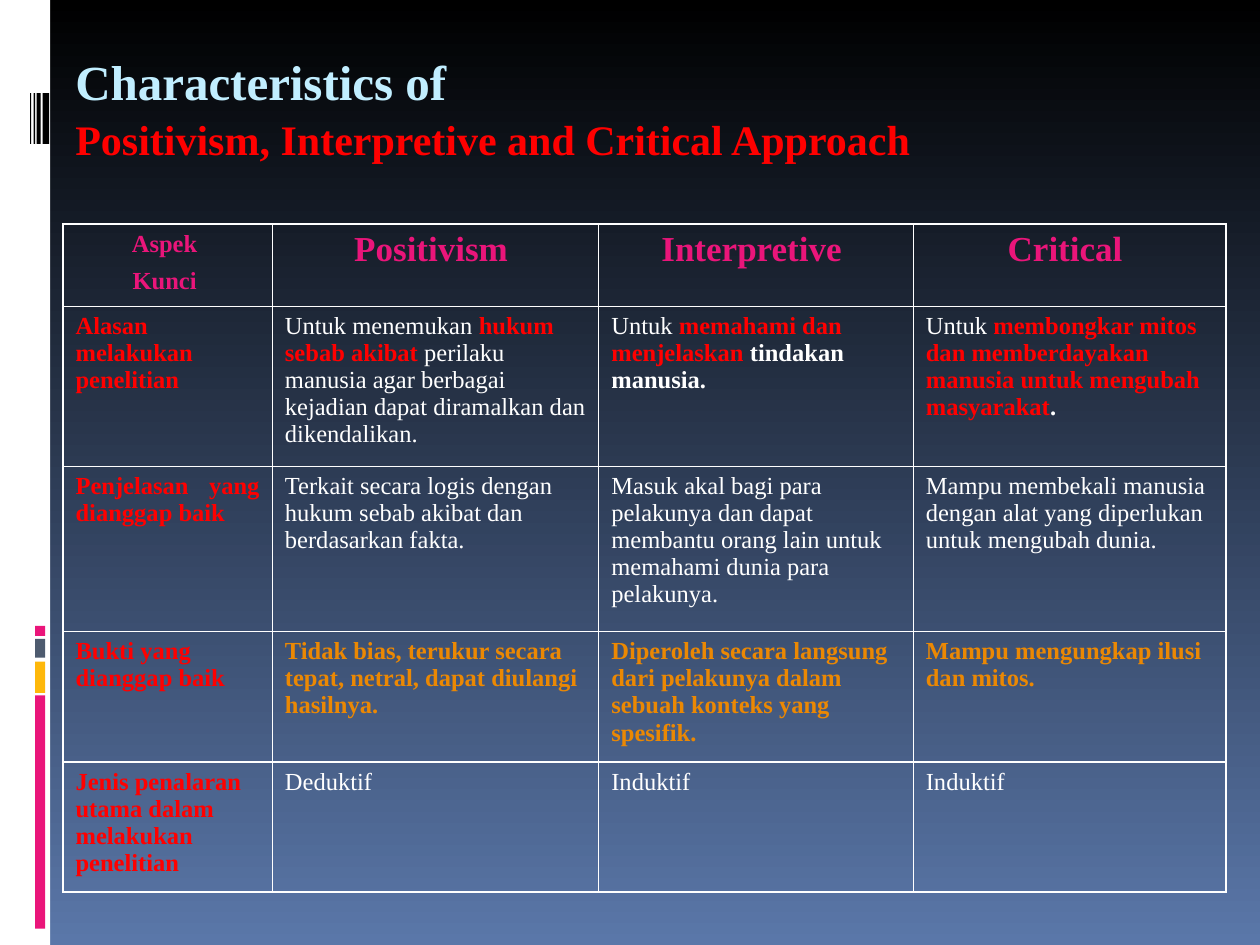
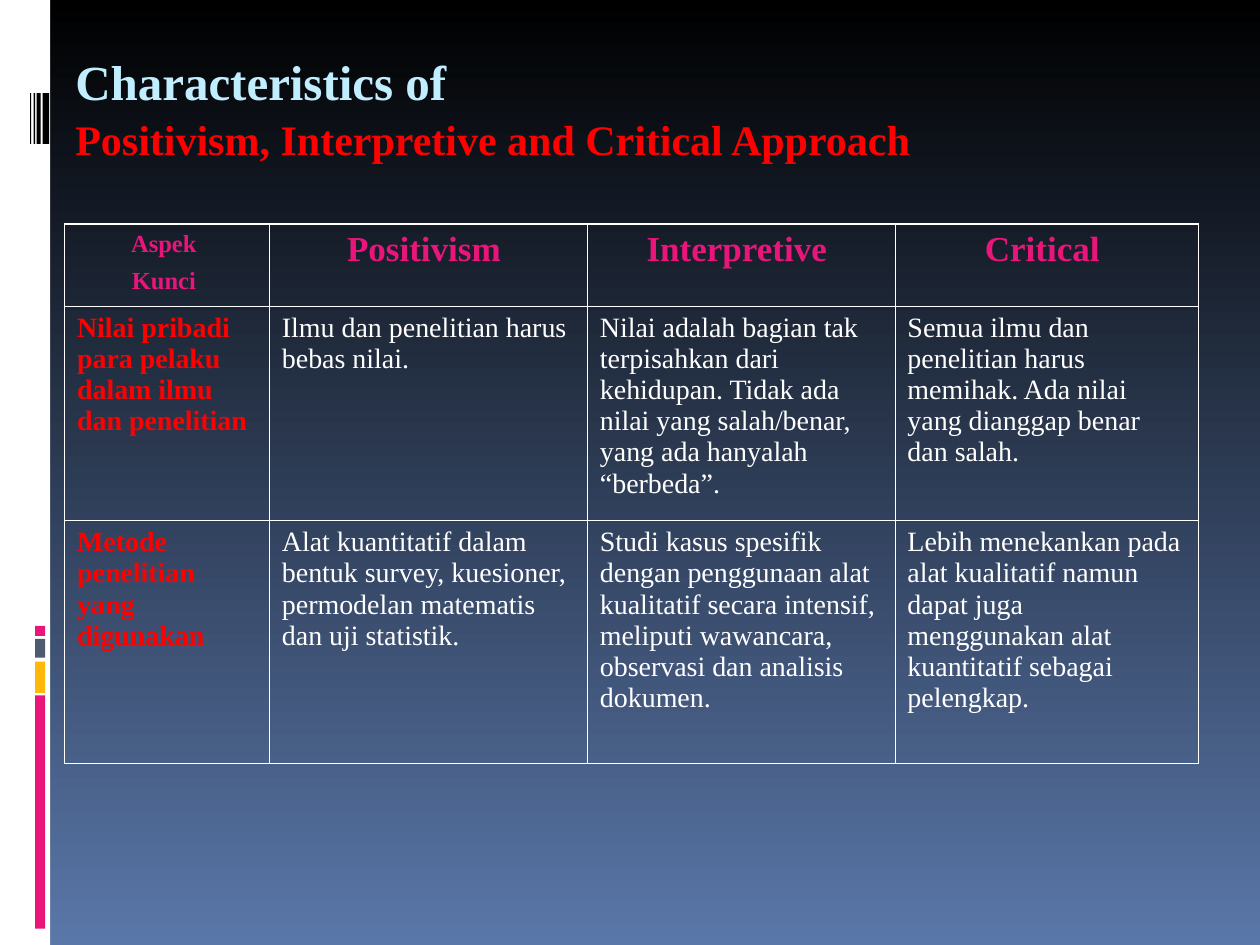
from dataclasses import dataclass

from lxml import etree
from pptx import Presentation
from pptx.dml.color import RGBColor
from pptx.enum.shapes import MSO_SHAPE
from pptx.enum.text import MSO_ANCHOR, PP_ALIGN
from pptx.oxml.ns import qn
from pptx.slide import Slide
from pptx.util import Cm, Pt

RECTANGLE = MSO_SHAPE.RECTANGLE
TOP = MSO_ANCHOR.TOP
LEFT, CENTER, JUSTIFY = PP_ALIGN.LEFT, PP_ALIGN.CENTER, PP_ALIGN.JUSTIFY

BLACK = RGBColor(0x00, 0x00, 0x00)
WHITE = RGBColor(0xFF, 0xFF, 0xFF)
STEEL_BLUE = RGBColor(0x5A, 0x77, 0xA9)
PINK = RGBColor(0xEA, 0x15, 0x7A)
AMBER = RGBColor(0xFE, 0xB8, 0x0A)
SLATE = RGBColor(0x4E, 0x5B, 0x6F)
ICE = RGBColor(0xC1, 0xEE, 0xFF)
RED = RGBColor(0xFF, 0x00, 0x00)
ORANGE = RGBColor(0xEB, 0x88, 0x03)

FONT = "Times New Roman"
THIN, THICK = Pt(0.45), Pt(1.08)


@dataclass(frozen=True)
class Bar:
    left: float
    top: float
    width: float
    height: float
    color: RGBColor


@dataclass(frozen=True)
class Span:
    text: str
    color: RGBColor = WHITE
    bold: bool = False


@dataclass(frozen=True)
class Aspect:
    name: str
    views: list[list[Span]]
    align: PP_ALIGN = LEFT


@dataclass(frozen=True)
class Comparison:
    left: float
    columns: list[float]
    rows: list[float]
    body_size: int
    thick_lines: set[int]  # horizontal rules, counted from the top edge
    aspects: list[Aspect]


def plain(text: str) -> list[Span]:
    return [Span(text)]


def key(text: str, color: RGBColor = RED) -> Span:
    return Span(text, color, True)


# Side decoration: white band, coloured bars, barcode strips
SIDE_BARS = [
    Bar(0, 0, 1.01, 19.05, WHITE),
    *(Bar(0.71, top, 0.2, height, color) for top, height, color in [
        (14.02, 4.7, PINK), (13.34, 0.63, AMBER),
        (12.88, 0.38, SLATE), (12.62, 0.2, PINK)]),
    *(Bar(left, 1.88, width, 1.02, BLACK) for left, width in [
        (0.86, 0.13), (0.74, 0.08), (0.68, 0.03), (0.61, 0.02)]),
]

TITLE = [("Characteristics of ", 28, ICE),
         ("Positivism, Interpretive and Critical Approach", 24, RED)]
ASPECT_HEADING = ["Aspek ", "Kunci "]
APPROACHES = ["Positivism ", "Interpretive ", "Critical "]

COMPARISONS = [
    Comparison(
        1.27, [4.22, 6.58, 6.34, 6.3], [1.65, 3.23, 3.33, 2.62, 2.62], 14,
        {0, 3, 4, 5},
        [
            Aspect("Alasan melakukan penelitian", [
                [Span("Untuk menemukan "), key("hukum sebab akibat"),
                 Span(" perilaku manusia agar berbagai kejadian dapat "
                      "diramalkan dan dikendalikan.")],
                [Span("Untuk "), key("memahami dan menjelaskan"),
                 key(" tindakan manusia.", WHITE)],
                [Span("Untuk "),
                 key("membongkar mitos dan memberdayakan manusia untuk "
                     "mengubah masyarakat"),
                 key(".", WHITE)],
            ]),
            Aspect("Penjelasan yang dianggap baik ", [
                plain("Terkait secara logis dengan hukum sebab akibat dan "
                      "berdasarkan fakta."),
                plain("Masuk akal bagi para pelakunya dan dapat membantu "
                      "orang lain untuk memahami dunia para pelakunya."),
                plain("Mampu membekali manusia dengan alat yang diperlukan "
                      "untuk mengubah dunia."),
            ], JUSTIFY),
            Aspect("Bukti yang dianggap baik", [
                [key("Tidak bias, terukur secara tepat, netral, dapat "
                     "diulangi hasilnya.", ORANGE)],
                [key("Diperoleh secara langsung dari pelakunya dalam sebuah "
                     "konteks yang spesifik.", ORANGE)],
                [key("Mampu mengungkap ilusi dan mitos.", ORANGE)],
            ]),
            Aspect("Jenis penalaran utama dalam melakukan penelitian", [
                plain("Deduktif"), plain("Induktif"), plain("Induktif"),
            ]),
        ],
    ),
    Comparison(
        1.3, [4.13, 6.41, 6.2, 6.12], [1.65, 4.32, 4.9], 16,
        {0, 3},
        [
            Aspect("Nilai pribadi para pelaku dalam ilmu dan penelitian", [
                plain("Ilmu dan penelitian harus bebas nilai."),
                plain("Nilai adalah bagian tak terpisahkan dari kehidupan. "
                      "Tidak ada nilai yang salah/benar, yang ada hanyalah "
                      "“berbeda”."),
                plain("Semua ilmu dan penelitian harus memihak. Ada nilai "
                      "yang dianggap benar dan salah."),
            ]),
            Aspect("Metode penelitian yang digunakan ", [
                plain("Alat kuantitatif dalam bentuk survey, kuesioner, "
                      "permodelan matematis dan uji statistik."),
                plain("Studi kasus spesifik dengan penggunaan alat kualitatif "
                      "secara intensif, meliputi wawancara, observasi dan "
                      "analisis dokumen."),
                plain("Lebih menekankan pada alat kualitatif namun dapat juga "
                      "menggunakan alat kuantitatif sebagai pelengkap."),
            ], JUSTIFY),
        ],
    ),
]


def add_run(paragraph, span: Span, size: int) -> None:
    run = paragraph.add_run()
    run.text = span.text
    formats = {"name": FONT, "size": Pt(size), "bold": span.bold}
    for attribute, value in formats.items():
        setattr(run.font, attribute, value)
    run.font.color.rgb = span.color


def paint_background(slide: Slide) -> None:
    fill = slide.background.fill
    fill.gradient()
    fill.gradient_angle = 270
    for stop, color in zip(fill.gradient_stops, (BLACK, STEEL_BLUE)):
        stop.color.rgb = color


def draw_bar(slide: Slide, bar: Bar) -> None:
    strip = slide.shapes.add_shape(RECTANGLE, Cm(bar.left), Cm(bar.top),
                                   Cm(bar.width), Cm(bar.height))
    strip.shadow.inherit = False
    strip.fill.solid()
    strip.fill.fore_color.rgb = bar.color
    strip.line.fill.background()


def draw_title(slide: Slide) -> None:
    title = slide.shapes.add_textbox(Cm(1.27), Cm(0.81), Cm(22.86), Cm(3.84))
    formats = {"word_wrap": True, "vertical_anchor": TOP,
               "margin_left": Cm(0.25), "margin_top": Cm(0.18)}
    for attribute, value in formats.items():
        setattr(title.text_frame, attribute, value)
    paragraph = title.text_frame.paragraphs[0]
    paragraph.line_spacing = 1.05
    for index, (text, size, color) in enumerate(TITLE):
        if index:
            paragraph.add_line_break()
        add_run(paragraph, key(text, color), size)


def set_borders(cell, widths: dict[str, int]) -> None:
    properties = cell._tc.get_or_add_tcPr()
    for side, width in widths.items():
        line = etree.SubElement(properties, qn(f"a:{side}"), w=str(int(width)))
        fill = etree.SubElement(line, qn("a:solidFill"))
        etree.SubElement(fill, qn("a:srgbClr"), val=str(WHITE))


def fill_cell(cell, spans: list[Span], size: int, align: PP_ALIGN) -> None:
    paragraph = cell.text_frame.paragraphs[0]
    paragraph.alignment = align
    for span in spans:
        add_run(paragraph, span, size)


def draw_comparison(slide: Slide, comparison: Comparison) -> None:
    row_count, column_count = len(comparison.rows), len(comparison.columns)
    table = slide.shapes.add_table(
        row_count, column_count, Cm(comparison.left), Cm(4.52),
        Cm(sum(comparison.columns)), Cm(sum(comparison.rows))).table
    table.first_row = table.horz_banding = False
    for column, width in zip(table.columns, comparison.columns):
        column.width = Cm(width)
    for row, height in zip(table.rows, comparison.rows):
        row.height = Cm(height)

    # Rules and transparent cells
    def rule(line: int) -> int:
        return THICK if line in comparison.thick_lines else THIN

    for r in range(row_count):
        for c in range(column_count):
            cell = table.cell(r, c)
            set_borders(cell, {
                "lnL": THICK if c == 0 else THIN,
                "lnR": THICK if c == column_count - 1 else THIN,
                "lnT": rule(r),
                "lnB": rule(r + 1),
            })
            cell.fill.background()

    # Heading row
    corner = table.cell(0, 0)
    fill_cell(corner, [key(ASPECT_HEADING[0], PINK)], 14, CENTER)
    second_line = corner.text_frame.add_paragraph()
    second_line.alignment = CENTER
    second_line.space_before = Pt(6)
    add_run(second_line, key(ASPECT_HEADING[1], PINK), 14)
    for c, approach in enumerate(APPROACHES, 1):
        fill_cell(table.cell(0, c), [key(approach, PINK)], 20, CENTER)

    # One row per aspect
    size = comparison.body_size
    for r, aspect in enumerate(comparison.aspects, 1):
        fill_cell(table.cell(r, 0), [key(aspect.name)], size, aspect.align)
        for c, view in enumerate(aspect.views, 1):
            fill_cell(table.cell(r, c), view, size, LEFT)


def main() -> None:
    prs = Presentation()
    prs.slide_width, prs.slide_height = Cm(25.4), Cm(19.05)
    for comparison in COMPARISONS:
        slide = prs.slides.add_slide(prs.slide_layouts[6])
        paint_background(slide)
        for bar in SIDE_BARS:
            draw_bar(slide, bar)
        draw_title(slide)
        draw_comparison(slide, comparison)
    prs.save("out.pptx")


if __name__ == "__main__":
    main()
